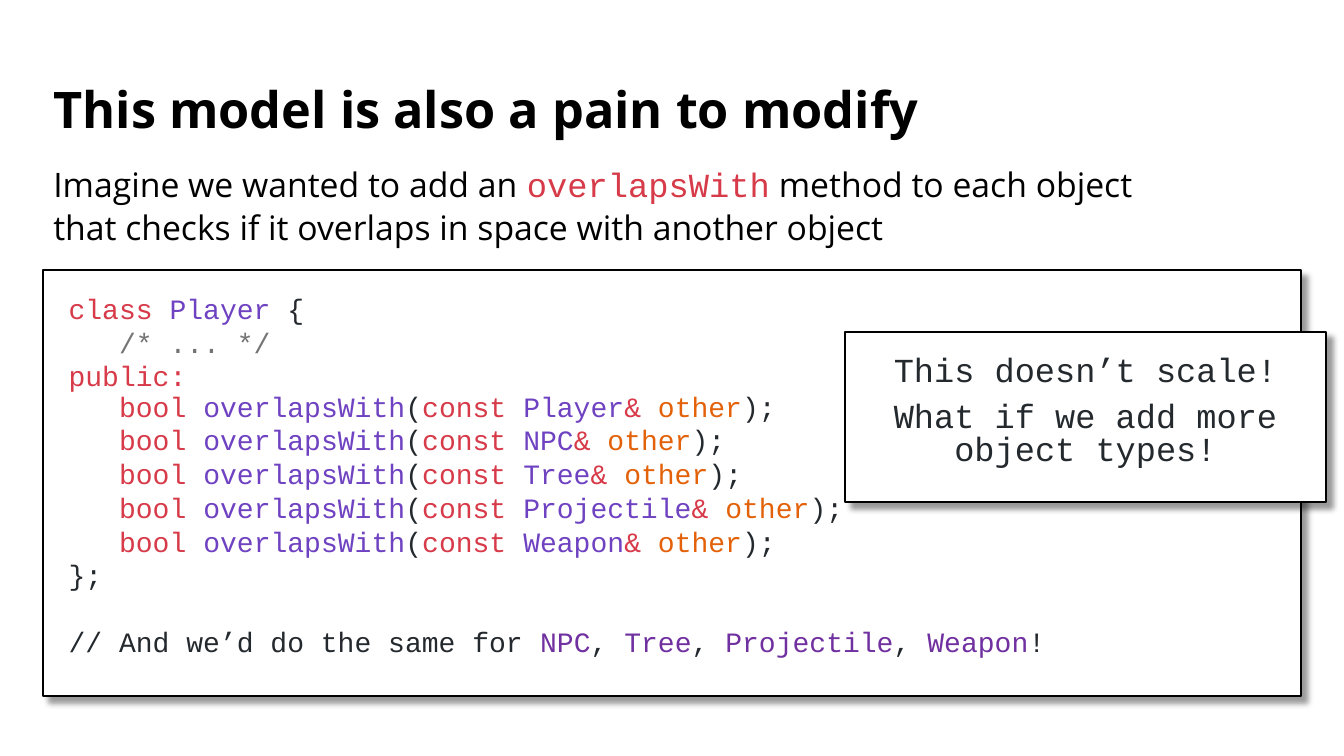
from dataclasses import dataclass

from lxml import etree
from pptx import Presentation
from pptx.dml.color import RGBColor
from pptx.enum.shapes import MSO_SHAPE
from pptx.enum.text import MSO_ANCHOR, MSO_AUTO_SIZE, PP_ALIGN
from pptx.oxml.ns import qn
from pptx.util import Inches, Pt

RECT = MSO_SHAPE.RECTANGLE
TOP, MIDDLE = MSO_ANCHOR.TOP, MSO_ANCHOR.MIDDLE
LEFT, CENTER = PP_ALIGN.LEFT, PP_ALIGN.CENTER
NO_FIT = MSO_AUTO_SIZE.NONE

WIDE, HIGH = Inches(13.33), Inches(7.5)
SANS, MONO = "Open Sans", "Courier New"
BREAK = "\n"
COLORS = {
    "black": "000000",
    "white": "FFFFFF",
    "ink": "24292E",
    "key": "D73A49",
    "label": "D73A48",
    "name": "6F42C1",
    "arg": "E36209",
    "note": "747474",
    "type": "7030A0",
}


@dataclass(frozen=True)
class Area:
    """Percent shares of the slide's width and height."""
    left: float
    top: float
    width: float
    height: float

    def spans(self) -> tuple[int, int, int, int]:
        return (int(WIDE * self.left / 100), int(HIGH * self.top / 100),
                int(WIDE * self.width / 100), int(HIGH * self.height / 100))


@dataclass(frozen=True)
class Span:
    text: str
    color: str = "ink"
    font: str = MONO


@dataclass(frozen=True)
class Line:
    spans: list[Span]
    gap: float


@dataclass(frozen=True)
class Style:
    size: float
    pitch: float
    align: int = LEFT


def rgb(name: str) -> RGBColor:
    return RGBColor.from_string(COLORS[name])


def method(kind: str) -> list[Span]:
    return [Span("   bool ", "key"), Span("overlapsWith", "name"), Span("("),
            Span("const ", "key"), Span(kind, "name"), Span("& ", "key"),
            Span("other", "arg"), Span(");")]


def write(frame, lines: list[Line], style: Style) -> None:
    frame.word_wrap = True
    frame.auto_size = NO_FIT
    frame.vertical_anchor = TOP
    for i, line in enumerate(lines):
        para = frame.add_paragraph() if i else frame.paragraphs[0]
        para.alignment = style.align
        para.line_spacing = style.pitch
        para.space_before = Pt(line.gap if i else 0)
        for span in line.spans:
            if span.text == BREAK:
                para.add_line_break()
                continue
            run = para.add_run()
            run.text = span.text
            run.font.name = span.font
            run.font.size = Pt(style.size)
            run.font.color.rgb = rgb(span.color)


def shade(shape) -> None:
    shape.shadow.inherit = False
    effects = shape._element.spPr.find(qn("a:effectLst"))
    outer = etree.SubElement(effects, qn("a:outerShdw"), blurRad=str(Pt(4)),
                             dist=str(Pt(6)), dir="2700000", algn="tl",
                             rotWithShape="0")
    tint = etree.SubElement(outer, qn("a:srgbClr"), val=COLORS["black"])
    etree.SubElement(tint, qn("a:alpha"), val="40000")


def panel(slide, area: Area, lines: list[Line], style: Style) -> None:
    box = slide.shapes.add_shape(RECT, *area.spans())
    box.fill.solid()
    box.fill.fore_color.rgb = rgb("white")
    box.line.color.rgb = rgb("black")
    box.line.width = Pt(1.5)
    shade(box)
    frame = box.text_frame
    frame.margin_left = frame.margin_right = Inches(0.25)
    frame.margin_top = frame.margin_bottom = Inches(0.25)
    write(frame, lines, style)


def head(slide, area: Area, text: str) -> None:
    title = slide.shapes.title
    title.left, title.top, title.width, title.height = area.spans()
    frame = title.text_frame
    frame.text = text
    frame.auto_size = NO_FIT
    frame.vertical_anchor = MIDDLE
    para = frame.paragraphs[0]
    para.alignment = LEFT
    para.line_spacing = 0.9
    font = para.runs[0].font
    font.name, font.size, font.bold = SANS, Pt(36), True
    font.color.rgb = rgb("black")


def main() -> None:
    deck = Presentation()
    deck.slide_width, deck.slide_height = WIDE, HIGH
    slide = deck.slides.add_slide(deck.slide_layouts[5])

    # Title
    head(slide, Area(3.23, 9.2, 93.55, 11.2), "This model is also a pain to modify")

    # Code panel
    kinds = ["NPC", "Tree", "Projectile", "Weapon"]
    code = [
        [Span("class ", "key"), Span("Player", "name"), Span(" {")],
        [Span("   /* ... */", "note")],
        [Span("public:", "label"), Span(BREAK), *method("Player")],
        *[method(kind) for kind in kinds],
        [Span("};")],
    ]
    same = [Span("// And we’d do the same for ")]
    for kind in kinds:
        same += [Span(kind, "type"), Span("!" if kind == kinds[-1] else ", ")]
    lines = [Line(spans, 2.5) for spans in code] + [Line(same, 26)]
    panel(slide, Area(3.23, 35.73, 93.55, 56.4), lines, Style(20, 0.9))

    # Lead text
    lead = slide.shapes.add_textbox(*Area(3.23, 22.53, 93.55, 11.2).spans())
    write(lead.text_frame, [
        Line([Span("Imagine we wanted to add an ", "black", SANS),
              Span("overlapsWith", "label"),
              Span(" method to each object", "black", SANS)], 0),
        Line([Span("that checks if it overlaps in space with another object",
                   "black", SANS)], 10),
    ], Style(24.1, 0.7))

    # Callout
    panel(slide, Area(62.87, 43.87, 35.78, 22.53), [
        Line([Span("This doesn’t scale!")], 0),
        Line([Span("What if we add more object types!")], 10),
    ], Style(24, 0.8, CENTER))

    deck.save("out.pptx")


if __name__ == "__main__":
    main()
